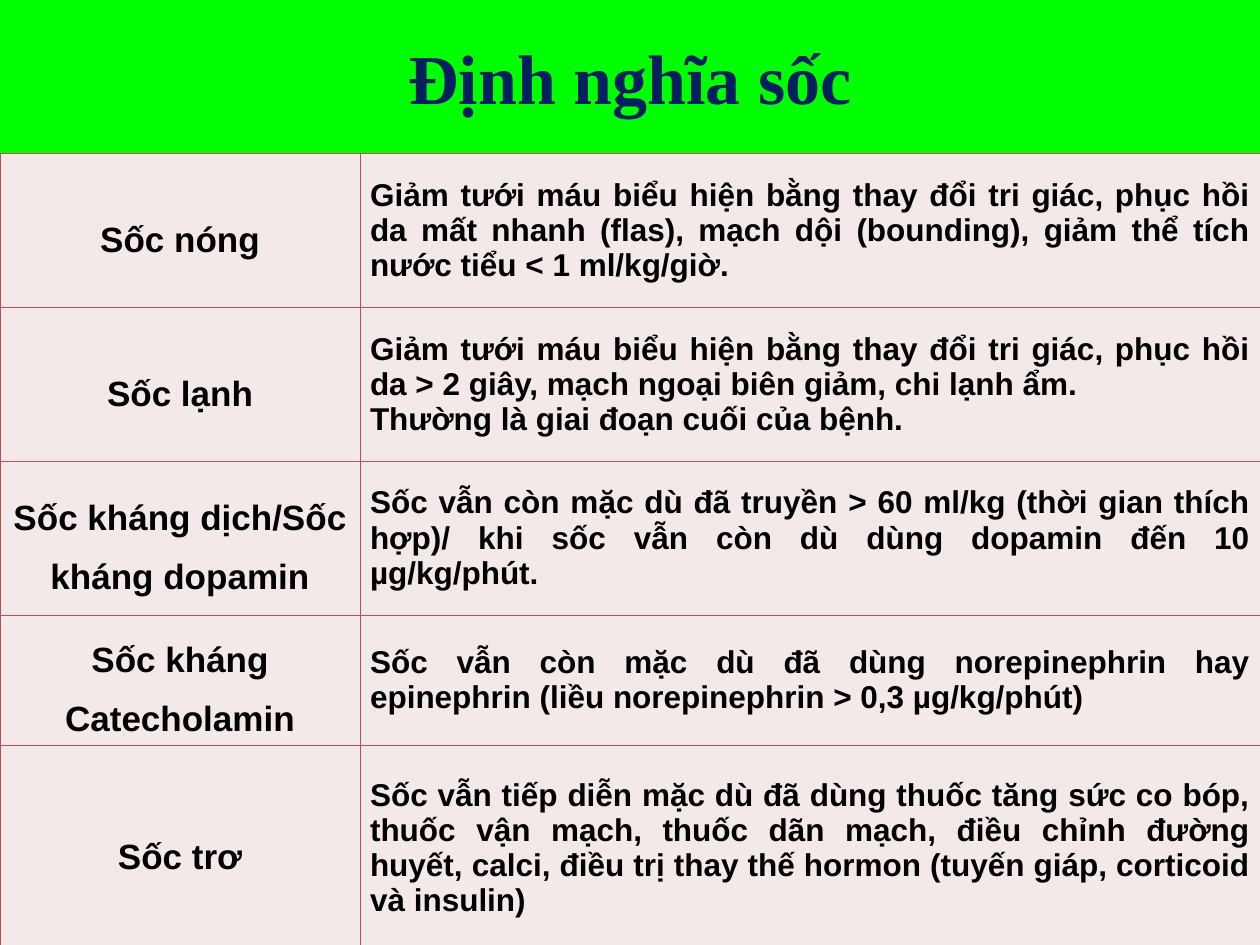
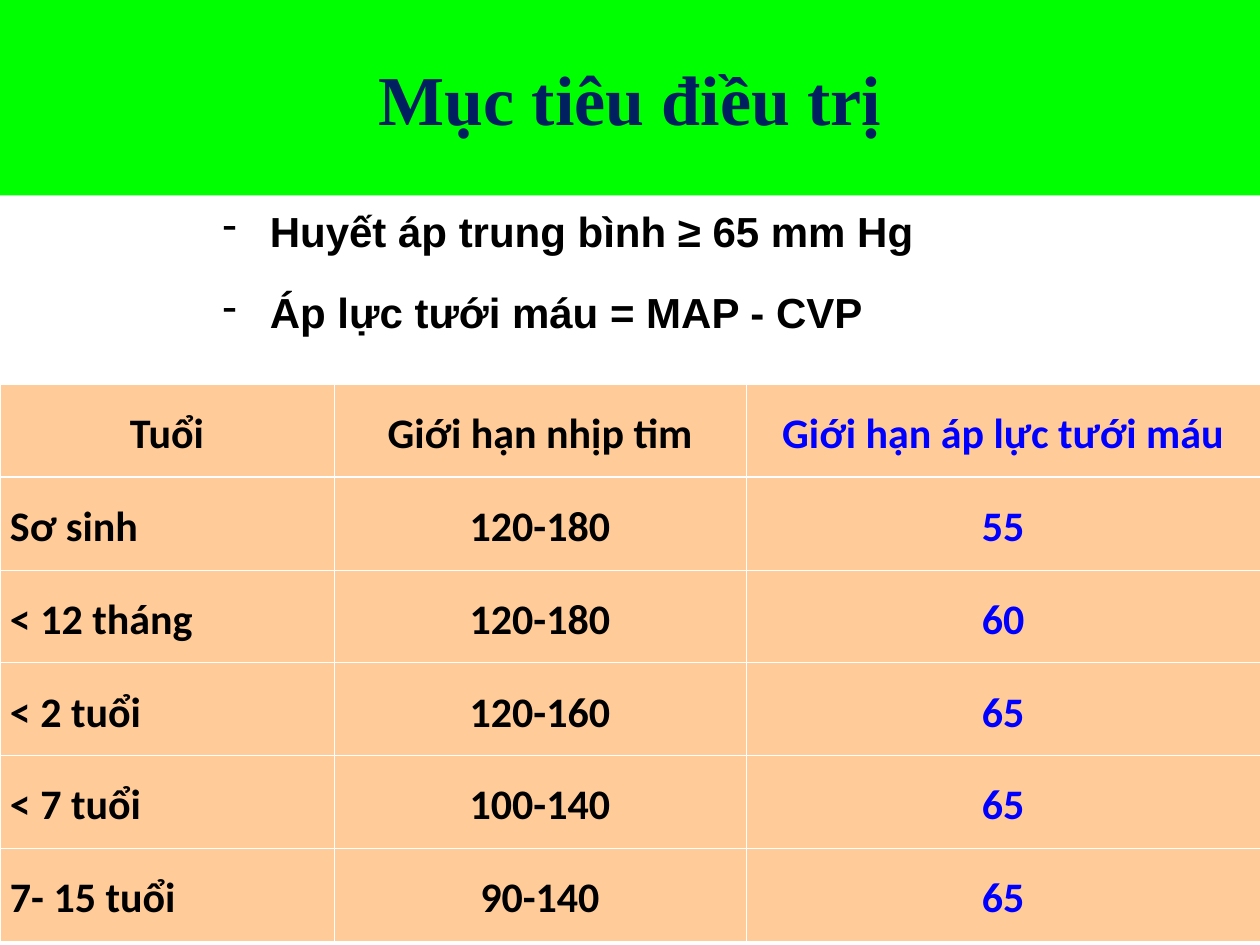
from lxml import etree
from pptx import Presentation
from pptx import util as u
from pptx.dml.color import RGBColor
from pptx.enum import text
from pptx.oxml import ns

GREEN = RGBColor(0x00, 0xFF, 0x00)
NAVY = RGBColor(0x00, 0x20, 0x60)
BLACK = RGBColor(0x00, 0x00, 0x00)
BLUE = RGBColor(0x00, 0x00, 0xFF)
WHITE = RGBColor(0xFF, 0xFF, 0xFF)
PINK = RGBColor(0xF4, 0xE9, 0xE9)
RED = RGBColor(0xC0, 0x50, 0x4D)
PEACH = RGBColor(0xFF, 0xCC, 0x99)

WIDTH, HEIGHT = u.Cm(25.4), u.Cm(19.05)
THIN, THICK = 0.45, 1.47
CENTER, JUSTIFY = text.PP_ALIGN.CENTER, text.PP_ALIGN.JUSTIFY

TITLE = dict(name="Times New Roman", size=u.Pt(40), bold=True, color=NAVY)
TERM = dict(name="Arial", size=u.Pt(20), bold=True, color=BLACK)
MEANING = dict(TERM, size=u.Pt(18))
TARGET = dict(TERM, size=u.Pt(24))
LIMIT = dict(TARGET, name="Calibri")
PRESSURE = dict(LIMIT, color=BLUE)

DEFINITIONS = [
    ("Sốc nóng",
     "Giảm tưới máu biểu hiện bằng thay đổi tri giác, phục hồi da mất nhanh "
     "(flas), mạch dội (bounding), giảm thể tích nước tiểu < 1 ml/kg/giờ."),
    ("Sốc lạnh",
     "Giảm tưới máu biểu hiện bằng thay đổi tri giác, phục hồi da > 2 giây, "
     "mạch ngoại biên giảm, chi lạnh ẩm.\nThường là giai đoạn cuối của bệnh."),
    ("Sốc kháng dịch/Sốc kháng dopamin",
     "Sốc vẫn còn mặc dù đã truyền > 60 ml/kg (thời gian thích hợp)/ khi sốc "
     "vẫn còn dù dùng dopamin đến 10 µg/kg/phút."),
    ("Sốc kháng Catecholamin",
     "Sốc vẫn còn mặc dù đã dùng norepinephrin hay epinephrin "
     "(liều norepinephrin > 0,3 µg/kg/phút)"),
    ("Sốc trơ",
     "Sốc vẫn tiếp diễn mặc dù đã dùng thuốc tăng sức co bóp, thuốc vận mạch, "
     "thuốc dãn mạch, điều chỉnh đường huyết, calci, điều trị thay thế hormon "
     "(tuyến giáp, corticoid và insulin)"),
]
TARGETS = ["Huyết áp trung bình ≥ 65 mm Hg", "Áp lực tưới máu = MAP - CVP"]
LIMITS = [
    ("Tuổi", "Giới hạn nhịp tim", "Giới hạn áp lực tưới máu"),
    ("Sơ sinh", "120-180", "55"),
    ("< 12 tháng", "120-180", "60"),
    ("< 2 tuổi", "120-160", "65"),
    ("< 7 tuổi", "100-140", "65"),
    ("7- 15 tuổi", "90-140", "65"),
]


def write(tf, lines, font, **para):
    """Fill a text frame with one formatted paragraph per line."""
    for i, line in enumerate(lines):
        p = tf.paragraphs[0] if i == 0 else tf.add_paragraph()
        for key, value in para.items():
            setattr(p, key, value)
        r = p.add_run()
        r.text = line
        for key, value in font.items():
            if key == "color":
                r.font.color.rgb = value
            else:
                setattr(r.font, key, value)


def add_title_slide(prs, title, height):
    """Add a slide whose title is a green band across the top."""
    s = prs.slides.add_slide(prs.slide_layouts[5])
    sp = s.shapes.title
    sp.left, sp.top, sp.width, sp.height = 0, 0, WIDTH, height
    sp.fill.solid()
    sp.fill.fore_color.rgb = GREEN
    sp.text_frame.vertical_anchor = text.MSO_ANCHOR.MIDDLE
    write(sp.text_frame, [title], TITLE, alignment=CENTER)
    return s


def set_borders(cell, color, widths):
    """Draw the left, right, top and bottom borders of a cell."""
    tcPr = cell._tc.get_or_add_tcPr()
    for side, width in zip("LRTB", widths):
        ln = etree.SubElement(tcPr, ns.qn(f"a:ln{side}"), w=str(u.Pt(width)))
        fill = etree.SubElement(ln, ns.qn("a:solidFill"))
        etree.SubElement(fill, ns.qn("a:srgbClr"), val=str(color))


def add_grid(s, top, columns, heights, rows, fill, line, style, header_line=THIN):
    """Add a full-width table; style(row, column) gives font and paragraph format."""
    table = s.shapes.add_table(len(rows), len(columns), 0, top, sum(columns), sum(heights)).table
    for column, width in zip(table.columns, columns):
        column.width = width
    for i, (values, height) in enumerate(zip(rows, heights)):
        table.rows[i].height = height
        above = header_line if i == 1 else THIN
        below = header_line if i == 0 else THIN
        for j, value in enumerate(values):
            cell = table.cell(i, j)
            set_borders(cell, line, (THIN, THIN, above, below))
            cell.fill.solid()
            cell.fill.fore_color.rgb = fill
            cell.margin_left = cell.margin_right = u.Cm(0.2)
            cell.margin_top = cell.margin_bottom = u.Cm(0.13)
            cell.vertical_anchor = text.MSO_ANCHOR.MIDDLE
            font, para = style(i, j)
            write(cell.text_frame, value.split("\n"), font, **para)


def add_dash_list(s, left, top, width, height, lines):
    """Add a justified list with hanging dashes."""
    tf = s.shapes.add_textbox(left, top, width, height).text_frame
    tf.word_wrap = True
    write(tf, lines, TARGET, alignment=JUSTIFY)
    indent = u.Cm(0.95)
    for i, p in enumerate(tf.paragraphs):
        pPr = p._p.get_or_add_pPr()
        pPr.set("marL", str(indent))
        pPr.set("indent", str(-indent))
        color = etree.SubElement(pPr, ns.qn("a:buClr"))
        etree.SubElement(color, ns.qn("a:srgbClr"), val=str(BLACK))
        etree.SubElement(pPr, ns.qn("a:buChar"), char="-")
        if i:
            p.space_before = u.Pt(18)


def definition_style(row, column):
    """Return the format of a term or of its meaning."""
    if column == 0:
        return TERM, dict(alignment=CENTER, line_spacing=1.5)
    return MEANING, dict(alignment=JUSTIFY)


def limit_style(row, column):
    """Return the format of a header, age or limit cell."""
    align = JUSTIFY if row and column == 0 else CENTER
    return PRESSURE if column == 2 else LIMIT, dict(alignment=align, line_spacing=1.15)


def build_definitions(prs):
    """Build the slide that defines the kinds of shock."""
    band = u.Cm(3.1)
    s = add_title_slide(prs, "Định nghĩa sốc", band)
    first = u.Cm(7.26)
    heights = [band] * 3 + [u.Cm(2.6), u.Cm(4.15)]
    add_grid(s, band, [first, WIDTH - first], heights, DEFINITIONS, PINK, RED, definition_style)


def build_targets(prs):
    """Build the slide with the treatment targets by age."""
    s = add_title_slide(prs, "Mục tiêu điều trị", u.Cm(3.94))
    add_dash_list(s, u.Cm(4.24), u.Cm(4.01), u.Cm(16.94), u.Cm(2.97), TARGETS)
    columns = [u.Cm(w) for w in (6.73, 8.31, 10.36)]
    add_grid(s, u.Cm(7.75), columns, [u.Cm(1.87)] * len(LIMITS), LIMITS,
             PEACH, WHITE, limit_style, THICK)


def main():
    """Build and save the presentation."""
    prs = Presentation()
    prs.slide_width, prs.slide_height = WIDTH, HEIGHT
    build_definitions(prs)
    build_targets(prs)
    prs.save("out.pptx")


if __name__ == "__main__":
    main()
